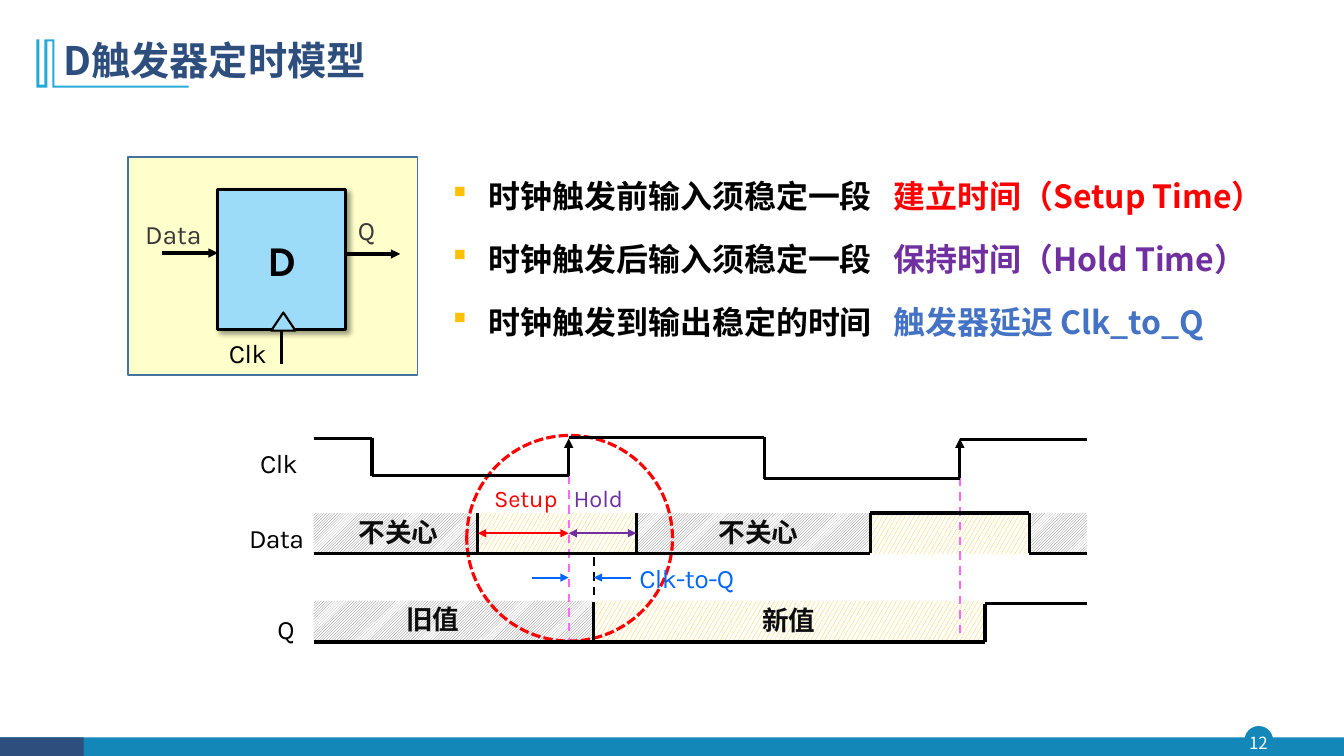
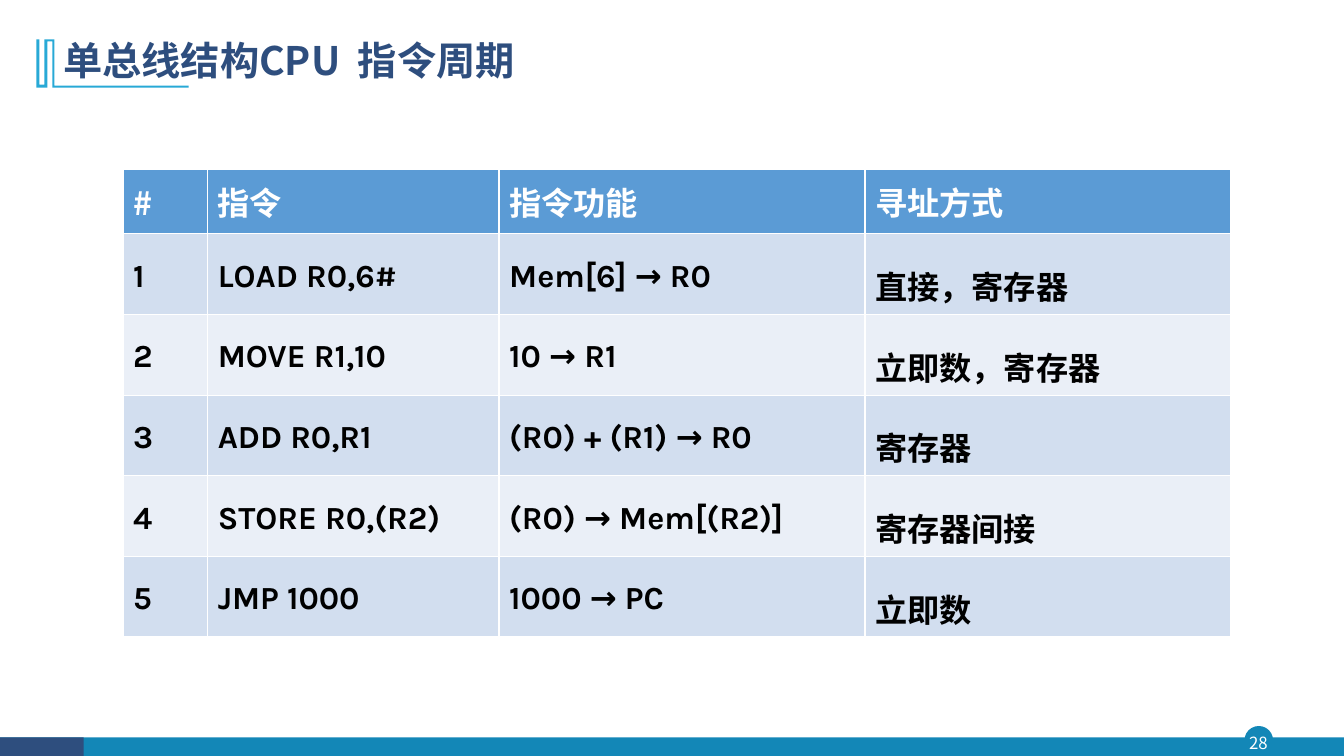
import itertools

import pptx
import pptx.dml.color
import pptx.enum.dml
import pptx.enum.shapes
import pptx.enum.text
import pptx.oxml.ns
import pptx.util
from lxml import etree

SLIDE_W = pptx.util.Inches(13.33)
SLIDE_H = pptx.util.Inches(7.5)
ROWS = 75
CELL = SLIDE_H / ROWS
COLUMNS = SLIDE_W / CELL

LATIN = "Karla"
CJK = "Noto Sans CJK SC"

COLORS = {
    "navy": "2E4E7E", "teal": "1387B7", "cyan": "28A9D6", "white": "FFFFFF",
    "black": "000000", "ink": "0D0D0D", "gray": "3B3838", "hatch": "767171",
    "amber": "FFC000", "red": "FF0000", "purple": "7030A0", "blue": "4472C4",
    "delay": "0066FF", "pink": "FF66FF", "cream": "FFFFCC", "frame": "43739E",
    "sky": "9CDCF8", "header": "5B9BD5", "odd": "D2DEEF", "even": "EAEFF7",
}

SHAPE = pptx.enum.shapes.MSO_SHAPE
DASH = pptx.enum.dml.MSO_LINE
PATTERN = pptx.enum.dml.MSO_PATTERN
ALIGN = pptx.enum.text.PP_ALIGN
MIDDLE = pptx.enum.text.MSO_ANCHOR.MIDDLE


def grid(*cells):
    return [round(cell * CELL) for cell in cells]


def rgb(name):
    return pptx.dml.color.RGBColor.from_string(COLORS[name])


def add_xml(parent, tag, **attributes):
    return etree.SubElement(parent, pptx.oxml.ns.qn(tag), attributes)


def style_run(run, size, color, font=LATIN, bold=False, spacing=0):
    run.font.size = pptx.util.Pt(size)
    run.font.bold = bold
    run.font.color.rgb = rgb(color)
    run.font.name = font
    properties = run.font._element
    add_xml(properties, "a:ea", typeface=CJK)
    if spacing:
        properties.set("spc", str(round(spacing * 100)))


def write_pieces(paragraph, pieces, size, font, bold):
    for text, color in pieces:
        run = paragraph.add_run()
        run.text = text
        gap = size * 0.22 if text == " " else 0
        style_run(run, size, color, font, bold, gap)


def add_label(slide, x, y, w, h, text, size=19, color="black", font=LATIN,
              bold=False, spacing=-0.1, leading=19.8):
    frame = slide.shapes.add_textbox(*grid(x, y, w, h)).text_frame
    frame.margin_left = frame.margin_right = 0
    frame.margin_top = frame.margin_bottom = 0
    frame.word_wrap = True
    frame.text = text
    paragraph = frame.paragraphs[0]
    if leading:
        paragraph.line_spacing = pptx.util.Pt(leading)
    style_run(paragraph.runs[0], size, color, font, bold, spacing)
    return frame


def add_block(slide, kind, x, y, w, h, fill=None, line=None, width=1):
    block = slide.shapes.add_shape(kind, *grid(x, y, w, h))
    paint(block, fill, line, width)
    return block


def paint(block, fill, line=None, width=1):
    block.shadow.inherit = False
    if fill:
        block.fill.solid()
        block.fill.fore_color.rgb = rgb(fill)
    else:
        block.fill.background()
    if line:
        block.line.color.rgb = rgb(line)
        block.line.width = pptx.util.Pt(width)
    else:
        block.line.fill.background()


def add_band(slide, x, y, w, h, pattern, color):
    band = add_block(slide, SHAPE.RECTANGLE, x, y, w, h)
    band.fill.patterned()
    band.fill.pattern = pattern
    band.fill.fore_color.rgb = rgb(color)
    band.fill.back_color.rgb = rgb("white")
    return band


def add_line(slide, start, end, color="black", width=2.25, dash=None,
             head=False, tail=False):
    line = slide.shapes.add_connector(
        pptx.enum.shapes.MSO_CONNECTOR.STRAIGHT, *grid(*start, *end))
    line.line.color.rgb = rgb(color)
    line.line.width = pptx.util.Pt(width)
    if dash:
        line.line.dash_style = dash
    stroke = line.line._get_or_add_ln()
    for wanted, tag in ((head, "a:headEnd"), (tail, "a:tailEnd")):
        if wanted:
            add_xml(stroke, tag, type="triangle")
    add_xml(line._element.spPr, "a:effectLst")
    return line


def add_wave(slide, points):
    for start, end in itertools.pairwise(points):
        add_line(slide, start, end)


def move_frame_to_layout(slide):
    layout = slide.slide_layout
    for placeholder in list(layout.placeholders):
        if placeholder.placeholder_format.idx:
            placeholder.element.getparent().remove(placeholder.element)
    bar_y, bar_h = 73.15, 1.85
    outline = [(5.4, 3.9), (5.4, 8.5), (18.7, 8.5), (18.7, 8.7), (5.2, 8.7),
               (5.2, 4.1), (4.7, 4.1), (4.7, 8.7), (3.6, 8.7), (3.6, 3.9),
               (3.9, 3.9), (3.9, 8.4), (4.4, 8.4), (4.4, 3.9)]
    corners = [grid(*point) for point in outline]
    builder = slide.shapes.build_freeform(*corners[0])
    builder.add_line_segments(corners[1:], close=True)
    title_mark = builder.convert_to_shape()
    paint(title_mark, "cyan")
    furniture = [
        add_block(slide, SHAPE.OVAL, 123.5, 72.1, 2.7, 2.7, "teal", "teal"),
        add_block(slide, SHAPE.RECTANGLE, 0, bar_y, COLUMNS, bar_h, "teal"),
        add_block(slide, SHAPE.RECTANGLE, 0, bar_y, 8.3, bar_h, "navy"),
        title_mark,
    ]
    for part in furniture:
        layout.shapes.element.append(part.element)


def add_page(deck, pieces, number):
    slide = deck.slides.add_slide(deck.slide_layouts[5])
    title = slide.shapes.title
    title.left, title.top, title.width, title.height = grid(5.3, 2.8, 115, 6.8)
    frame = title.text_frame
    frame.vertical_anchor = MIDDLE
    frame.auto_size = pptx.enum.text.MSO_AUTO_SIZE.NONE
    heading = frame.paragraphs[0]
    heading.alignment = ALIGN.LEFT
    heading.line_spacing = 0.9
    write_pieces(heading, [(text, "navy") for text in pieces], 28, CJK, True)
    page = add_label(slide, 123.2, 72.1, 3.2, 3.1, str(number), 12, "white",
                     CJK, spacing=0, leading=None)
    page.vertical_anchor = MIDDLE
    page.paragraphs[0].alignment = ALIGN.CENTER
    return slide


def add_bullets(slide, x, y, w, h, items):
    frame = slide.shapes.add_textbox(*grid(x, y, w, h)).text_frame
    frame.word_wrap = True
    for index, (lead, term, color) in enumerate(items):
        paragraph = frame.add_paragraph() if index else frame.paragraphs[0]
        properties = paragraph._p.get_or_add_pPr()
        indent = pptx.util.Inches(0.36)
        properties.set("marL", str(indent))
        properties.set("indent", str(-indent))
        add_xml(add_xml(properties, "a:buClr"), "a:srgbClr", val=COLORS["amber"])
        add_xml(properties, "a:buFont", typeface="Wingdings")
        add_xml(properties, "a:buChar", char="§")
        paragraph.line_spacing = 1.3
        paragraph.space_before = pptx.util.Pt(4.8 if index else 0)
        paragraph.space_after = pptx.util.Pt(4.8)
        pieces = [(lead, "black"), (" ", "black"), (term, color)]
        write_pieces(paragraph, pieces, 22.8, CJK, True)


def draw_flip_flop(slide):
    add_block(slide, SHAPE.RECTANGLE, 12.7, 15.6, 28.7, 21.6, "cream", "frame")
    body = add_block(slide, SHAPE.RECTANGLE, 21.6, 18.8, 12.7, 13.9,
                     "sky", "black", 2.25)
    effects = body._element.spPr.find(pptx.oxml.ns.qn("a:effectLst"))
    shadow = add_xml(effects, "a:outerShdw", blurRad=str(pptx.util.Pt(4)),
                     dist=str(pptx.util.Pt(3)), dir="2700000")
    shade = add_xml(shadow, "a:srgbClr", val=COLORS["black"])
    add_xml(shade, "a:alpha", val="40000")
    frame = body.text_frame
    frame.text = "D"
    frame.vertical_anchor = MIDDLE
    frame.paragraphs[0].alignment = ALIGN.CENTER
    style_run(frame.paragraphs[0].runs[0], 30.3, "black", bold=True)
    add_block(slide, SHAPE.ISOSCELES_TRIANGLE, 26.9, 31, 2.4, 1.8,
              "sky", "black", 1.5)
    add_line(slide, (16.1, 25.1), (21.6, 25.1), tail=True)
    add_line(slide, (34.3, 25.2), (39.7, 25.2), tail=True)
    clock_pin = add_line(slide, (27.95, 32.7), (27.95, 36.1))
    clock_pin.begin_connect(body, 2)
    add_label(slide, 14.4, 22, 9.4, 2.8, "Data", color="gray")
    add_label(slide, 35.5, 21.6, 6.6, 2.8, "Q", color="gray")
    add_label(slide, 22.7, 33.8, 5.2, 2.8, "Clk", spacing=-0.3)


def draw_timing(slide):
    left, right = 31.1, 107.8
    first_edge, second_edge = 56.4, 95.2
    setup_x, hold_x, output_x = 47.4, 63.1, 58.9
    data_y, data_base, band_h = 50.9, 54.9, 3.9
    q_y, q_base = 59.6, 63.7
    unknown = (PATTERN.LIGHT_UPWARD_DIAGONAL, "hatch")
    valid = (PATTERN.LARGE_CONFETTI, "amber")

    add_band(slide, left, data_y, setup_x - left, band_h, *unknown)
    add_band(slide, hold_x, data_y, 86.3 - hold_x, band_h, *unknown)
    add_band(slide, 102.3, data_y, right - 102.3, band_h, *unknown)
    add_band(slide, 86.4, data_y, 15.5, 4.1, *valid)
    stable = add_band(slide, setup_x, data_y, hold_x - setup_x, 4, *valid)
    add_band(slide, left, q_y, output_x - left, band_h, *unknown)
    add_band(slide, output_x, q_y, 97.7 - output_x, band_h, *valid)

    add_block(slide, SHAPE.OVAL, 46.3, 43.2, 20.4, 20.4, None, "red",
              2.25).line.dash_style = DASH.SQUARE_DOT
    for edge, low in ((first_edge, 47.2), (second_edge, 47.4)):
        add_line(slide, (edge, low), (edge, q_base), "pink", 1.5, DASH.DASH)
        add_line(slide, (edge, low), (edge, 43.5), tail=True)
    add_wave(slide, [(left, 43.5), (36.9, 43.5), (36.9, 47.2), (first_edge, 47.2)])
    add_wave(slide, [(first_edge, 43.4), (75.8, 43.4), (75.8, 47.5),
                     (second_edge, 47.5)])
    add_line(slide, (second_edge, 43.6), (right, 43.6))
    add_wave(slide, [(left, data_base), (86.3, data_base), (86.3, data_y),
                     (102.1, data_y), (102.1, data_base), (right, data_base)])
    add_wave(slide, [(left, q_base), (97.7, q_base), (97.7, 59.9), (right, 59.9)])
    for x, top, base in ((setup_x, data_y, data_base), (hold_x, data_y, data_base),
                         (output_x, 59.7, q_base)):
        add_line(slide, (x, top), (x, base))
    add_line(slide, (output_x, 55.3), (output_x, 59.3), width=1.5, dash=DASH.DASH)

    span_y = data_y + 2
    setup = add_line(slide, (setup_x, span_y), (first_edge, span_y), "red", 1.5,
                     head=True, tail=True)
    setup.begin_connect(stable, 1)
    hold = add_line(slide, (first_edge, span_y), (hold_x, span_y), "purple", 1.5,
                    head=True, tail=True)
    hold.end_connect(stable, 3)
    add_line(slide, (output_x, 57.3), (62.6, 57.3), "delay", 1.5, head=True)
    add_line(slide, (52.8, 57.3), (first_edge, 57.3), "delay", 1.5, tail=True)

    for x, y, w, name in ((25.8, 44.8, 5.2, "Clk"), (24.7, 52.2, 6.3, "Data"),
                          (27.5, 61.2, 2.1, "Q")):
        add_label(slide, x, y, w, 2.8, name, spacing=-0.4)
    for x, y, state in ((35.6, 51.6, "不关心"), (71.3, 51.6, "不关心"),
                        (40.3, 60.2, "旧值"), (75.6, 60.3, "新值")):
        add_label(slide, x, y, 9.4, 2.8, state, color="ink", font=CJK, bold=True)
    add_label(slide, 49, 48.1, 6.9, 2.8, "Setup", 17, "red")
    add_label(slide, 56.9, 48.1, 6.9, 2.8, "Hold", 17, "purple")
    add_label(slide, 63.4, 55.8, 13.2, 3.2, "Clk-to-Q", color="delay",
              spacing=-0.4, leading=22.5)


def add_instruction_table(slide, x, y, widths, heights, rows):
    table = slide.shapes.add_table(
        len(rows), len(widths), *grid(x, y, sum(widths), sum(heights))).table
    for column, width in zip(table.columns, grid(*widths)):
        column.width = width
    for row, height in zip(table.rows, grid(*heights)):
        row.height = height
    for r, texts in enumerate(rows):
        for c, text in enumerate(texts):
            cell = table.cell(r, c)
            cell.fill.solid()
            cell.fill.fore_color.rgb = rgb(
                "header" if r == 0 else "odd" if r % 2 else "even")
            cell.text = text
            paragraph = cell.text_frame.paragraphs[0]
            if r == 0:
                cell.vertical_anchor = MIDDLE
                style_run(paragraph.runs[0], 23, "white", CJK, True)
            else:
                paragraph.line_spacing = 1.5
                style_run(paragraph.runs[0], 23, "black", LATIN, True)


def main():
    deck = pptx.Presentation()
    deck.slide_width, deck.slide_height = SLIDE_W, SLIDE_H

    timing = add_page(deck, ["D触发器定时模型"], 12)
    move_frame_to_layout(timing)
    add_bullets(timing, 43.9, 15.9, 84.5, 21.6, [
        ("时钟触发前输入须稳定一段 ", "建立时间（Setup Time）", "red"),
        ("时钟触发后输入须稳定一段 ", "保持时间（Hold Time）", "purple"),
        ("时钟触发到输出稳定的时间 ", "触发器延迟 Clk_to_Q", "blue"),
    ])
    draw_flip_flop(timing)
    draw_timing(timing)

    cycle = add_page(deck, ["单总线结构CPU", " ", "指令周期"], 28)
    add_instruction_table(
        cycle, 12.2, 16.8, [8.4, 28.9, 36.3, 36.3], [6.4] + [8] * 5, [
            ("#", "指令", "指令功能", "寻址方式"),
            ("1", "LOAD R0,6#", "Mem[6] → R0", "直接，寄存器"),
            ("2", "MOVE R1,10", "10 → R1", "立即数，寄存器"),
            ("3", "ADD R0,R1", "(R0) + (R1) → R0", "寄存器"),
            ("4", "STORE R0,(R2)", "(R0) → Mem[(R2)]", "寄存器间接"),
            ("5", "JMP 1000", "1000 → PC", "立即数"),
        ])
    deck.save("out.pptx")


if __name__ == "__main__":
    main()
